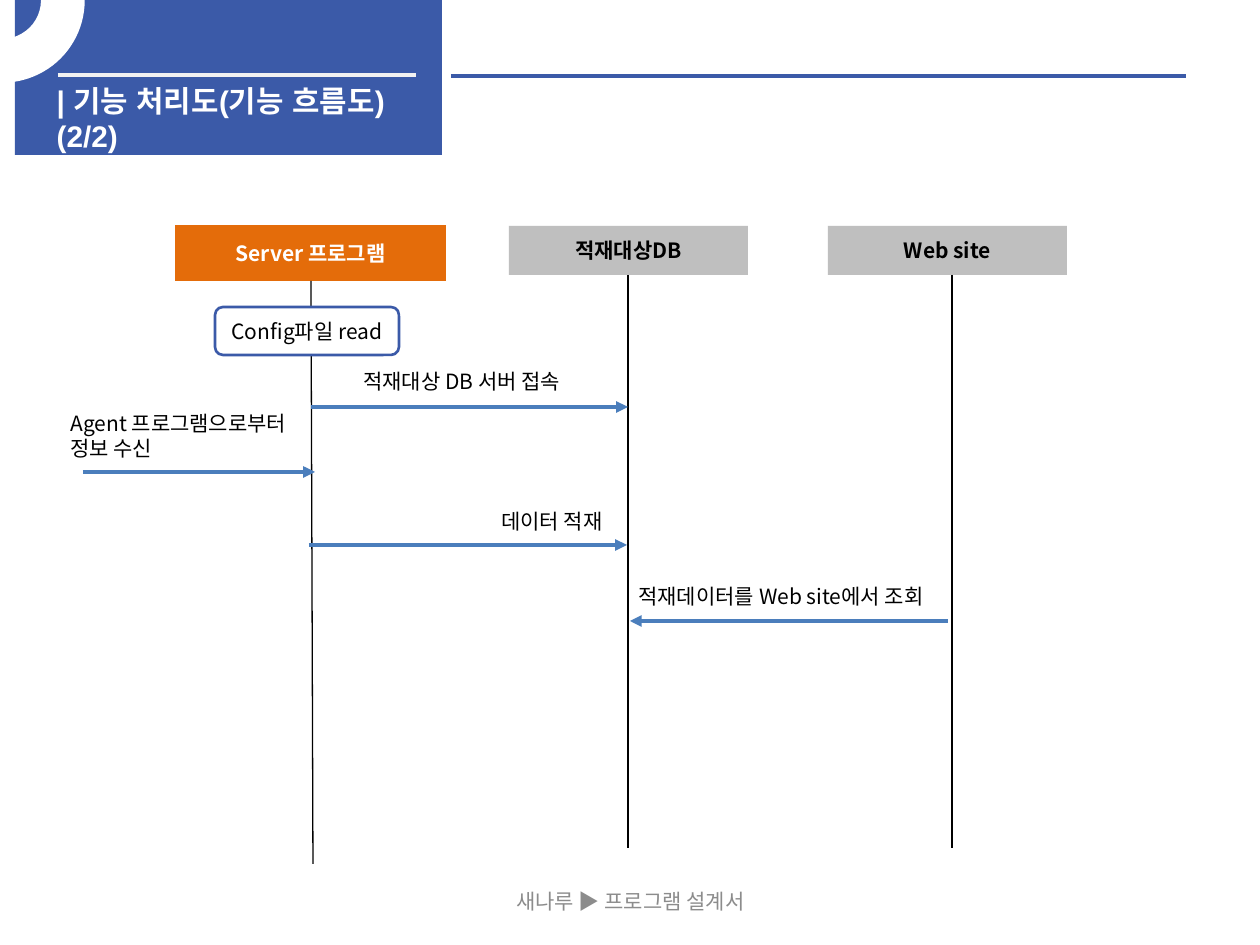
from lxml.etree import SubElement
from pptx import Presentation
from pptx.dml.color import RGBColor
from pptx.enum.shapes import MSO_CONNECTOR as Line, MSO_SHAPE as Shape
from pptx.enum.text import MSO_ANCHOR as Anchor, MSO_AUTO_SIZE as Fit, PP_ALIGN as Align
from pptx.oxml.ns import qn
from pptx.util import Pt

PX = 914400 // 126
BLUE, ARROW, BLACK, WHITE = "3B5AA8", "4B7EBC", "000000", "FFFFFF"
ORANGE, GREY = "E46C0A", "BFBFBF"
SANS = "Noto Sans CJK KR"

TITLE = "| 기능 처리도(기능 흐름도)\n(2/2)"
FOOTER = "새나루 ▶ 프로그램 설계서"
BANNER = (15, 0, 427, 155)
RING = (-79, -80, 162, 161)
RULES = [((58, 75), (416, 75), "F2F2F2"), ((451, 76), (1186, 76), BLUE)]
ACTORS = [
    ("Server 프로그램", (175, 225, 271, 56), ORANGE, WHITE, (311, 281), (313, 864)),
    ("적재대상DB", (509, 226, 239, 49), GREY, BLACK, (628, 275), (628, 848)),
    ("Web site", (828, 226, 239, 49), GREY, BLACK, (952, 275), (952, 848)),
]
STEP = ("Config파일 read", (215, 307, 184, 48))
MESSAGES = [
    ("적재대상 DB 서버 접속", (351, 362, 246, 38), (311, 407), (628, 407)),
    ("Agent 프로그램으로부터\n정보 수신", (58, 404, 261, 63), (83, 472), (315, 472)),
    ("데이터 적재", (489, 502, 139, 38), (309, 545), (627, 545)),
    ("적재데이터를 Web site에서 조회", (626, 577, 336, 38), (948, 621), (630, 621)),
]

prs = Presentation()
prs.slide_width, prs.slide_height = 1260 * PX, 945 * PX
slide = prs.slides.add_slide(prs.slide_layouts[5])
shapes = slide.shapes


def rgb(code):
    return RGBColor.from_string(code)


def emu(*lengths):
    return [length * PX for length in lengths]


def write(holder, words, color, size=12, face=SANS, bold=False,
          align=Align.LEFT, anchor=Anchor.TOP, wrap=True):
    frame = holder.text_frame
    frame.text = words
    layout = dict(word_wrap=wrap, auto_size=Fit.NONE, vertical_anchor=anchor)
    for name, value in layout.items():
        setattr(frame, name, value)
    for paragraph in frame.paragraphs:
        paragraph.alignment = align
        for run in paragraph.runs:
            for name, value in dict(size=Pt(size), name=face, bold=bold).items():
                setattr(run.font, name, value)
            run.font.color.rgb = rgb(color)
            SubElement(run.font._element, qn("a:ea"), typeface=face)


def draw(kind, box, fill, outline=None, weight=1):
    part = shapes.add_shape(kind, *emu(*box))
    part.shadow.inherit = False
    part.fill.solid()
    part.fill.fore_color.rgb = rgb(fill)
    if outline:
        part.line.color.rgb = rgb(outline)
        part.line.width = Pt(weight)
    else:
        part.line.fill.background()
    return part


def connect(start, end, color, weight, arrow=False):
    link = shapes.add_connector(Line.STRAIGHT, *emu(*start, *end))
    link.line.color.rgb = rgb(color)
    link.line.width = Pt(weight)
    if arrow:
        SubElement(link.line._get_or_add_ln(), qn("a:tailEnd"), type="triangle")
    SubElement(link._element.spPr, qn("a:effectLst"))


CENTERED = dict(align=Align.CENTER, anchor=Anchor.MIDDLE)

draw(Shape.RECTANGLE, BANNER, BLUE)
for start, end, color in RULES:
    connect(start, end, color, 2.25)

title = shapes.title
for name, value in zip(("left", "top", "width", "height"), emu(44, 76, 387, 40)):
    setattr(title, name, value)
write(title, TITLE, WHITE, size=17, face="Arial", bold=True)
shapes._spTree.append(title._element)

ring = draw(Shape.BLOCK_ARC, RING, WHITE, WHITE, 2)
for index, value in enumerate((0, 54, 0.25)):
    ring.adjustments[index] = value

write(shapes.add_textbox(*emu(431, 876, 399, 50)), FOOTER, "8C8C8C", **CENTERED)

for label, box, fill, color, top, bottom in ACTORS:
    write(draw(Shape.RECTANGLE, box, fill), label, color, bold=True, **CENTERED)
    connect(top, bottom, BLACK, 0.75)

step, step_box = STEP
write(draw(Shape.ROUNDED_RECTANGLE, step_box, WHITE, BLUE, 1.5), step, BLACK, **CENTERED)

for label, box, start, end in MESSAGES:
    connect(start, end, ARROW, 2.25, arrow=True)
    write(shapes.add_textbox(*emu(*box)), label, BLACK, wrap=False)

prs.save("out.pptx")
